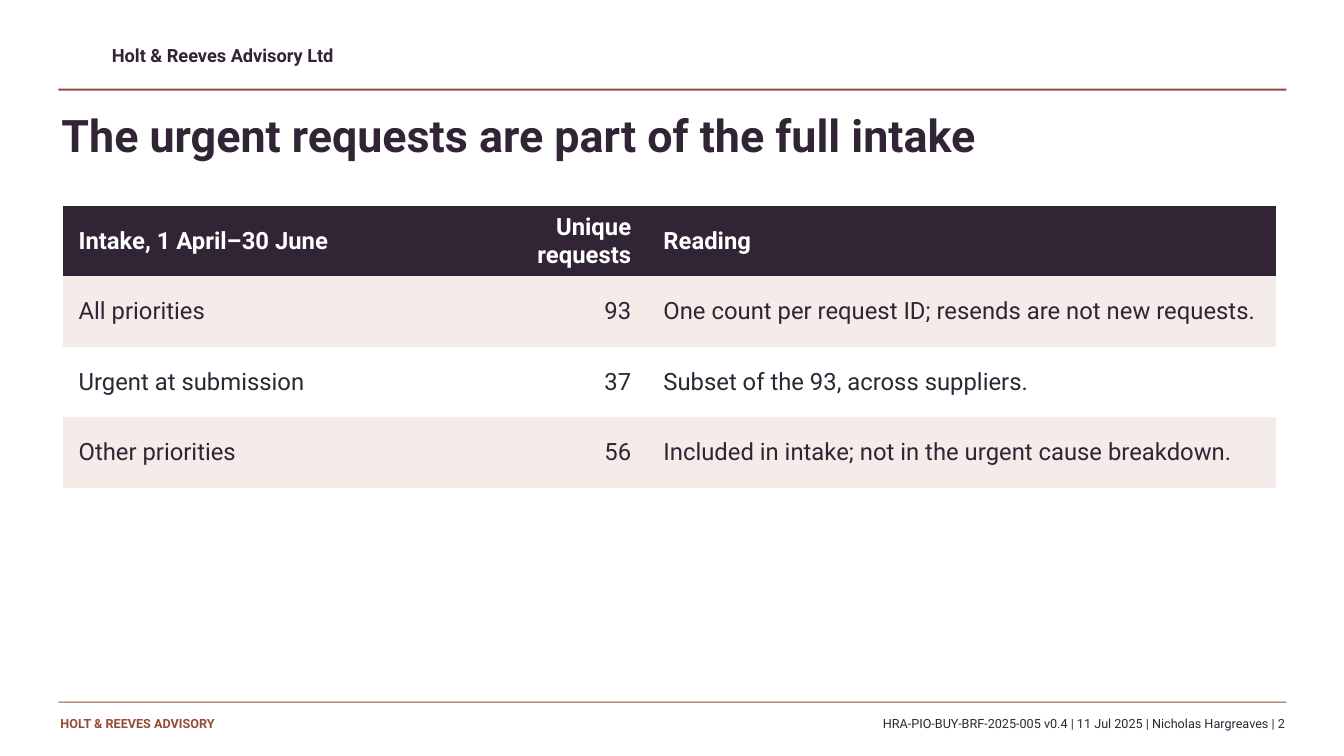
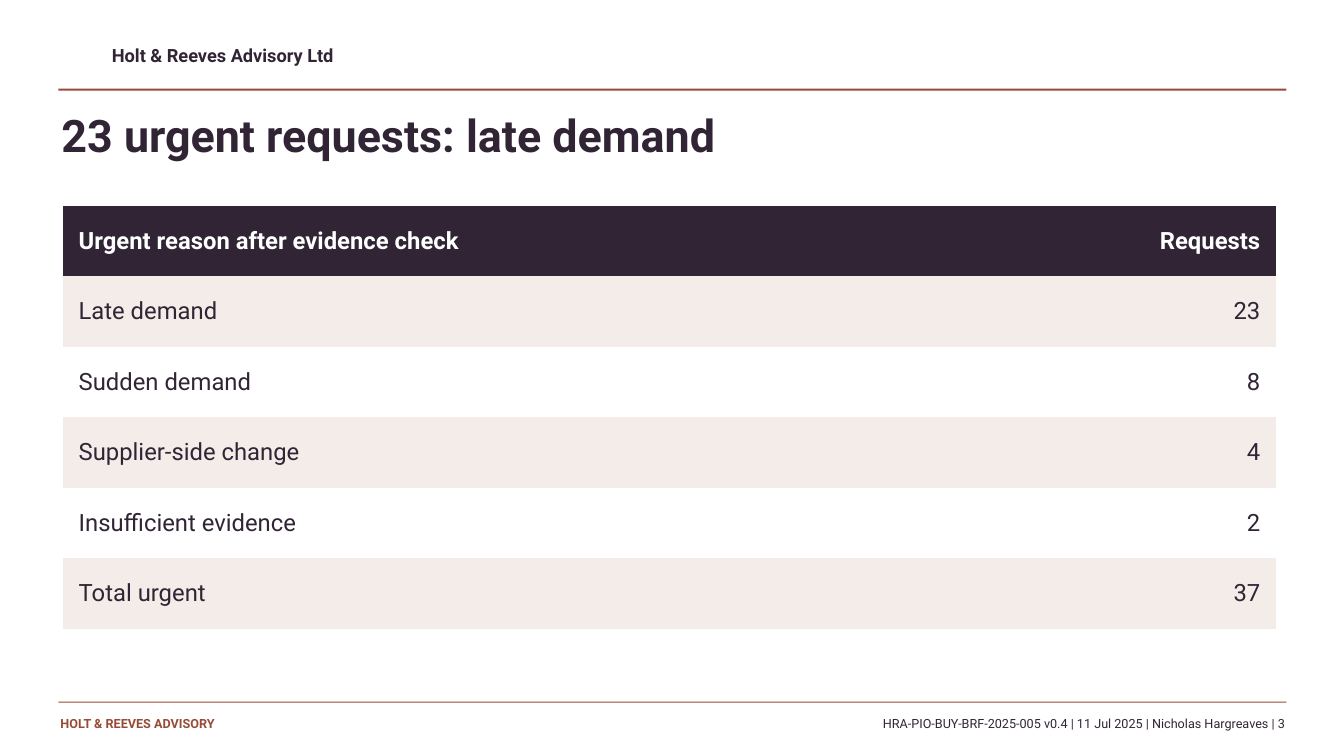
from pptx import Presentation
from pptx.dml.color import RGBColor
from pptx.enum import shapes, text
from pptx.oxml import ns
from pptx.util import Inches, Pt

FONT = "Roboto"
PLUM = "302435"
RUST = "964B37"
BLUSH = "F4ECE8"
WHITE = "FFFFFF"
NO_GRID_STYLE = "{2D5ABB26-0587-4C30-8999-92F81FD0307C}"
ROW_HEIGHT = 0.7
DOCUMENT = "HRA-PIO-BUY-BRF-2025-005 v0.4 | 11 Jul 2025 | Nicholas Hargreaves"
FIRST_PAGE_NUMBER = 2

LEFT = text.PP_ALIGN.LEFT
RIGHT = text.PP_ALIGN.RIGHT

TABLE_PAGES = [
    {
        "title": "The urgent requests are part of the full intake",
        "widths": [4.15, 1.65, 6.24],
        "rows": [
            ["Intake, 1 April–30 June", "Unique requests", "Reading"],
            ["All priorities", "93", "One count per request ID; resends are not new requests."],
            ["Urgent at submission", "37", "Subset of the 93, across suppliers."],
            ["Other priorities", "56", "Included in intake; not in the urgent cause breakdown."],
        ],
    },
    {
        "title": "23 urgent requests: late demand",
        "widths": [9.6, 2.44],
        "rows": [
            ["Urgent reason after evidence check", "Requests"],
            ["Late demand", "23"],
            ["Sudden demand", "8"],
            ["Supplier-side change", "4"],
            ["Insufficient evidence", "2"],
            ["Total urgent", "37"],
        ],
    },
]


def set_color(target, color):
    target.rgb = RGBColor.from_string(color)


def fill_solid(target, color):
    target.fill.solid()
    set_color(target.fill.fore_color, color)


def write(frame, wording, size, color, bold=False, align=LEFT):
    """Put one formatted paragraph in a text frame."""
    frame.text = wording
    para = frame.paragraphs[0]
    para.alignment = align
    para.font.name = FONT
    para.font.size = Pt(size)
    para.font.bold = bold
    set_color(para.font.color, color)


def set_margins(target, horizontal, vertical):
    target.margin_left = target.margin_right = Inches(horizontal)
    target.margin_top = target.margin_bottom = Inches(vertical)


def add_rule(page, top, thickness):
    """Add a thin filled bar across the content width."""
    place = (0.58, top, 12.18, thickness)
    rule = page.shapes.add_shape(shapes.MSO_SHAPE.RECTANGLE, *map(Inches, place))
    rule.shadow.inherit = False
    fill_solid(rule, RUST)
    rule.line.fill.background()
    return rule


def add_label(page, place, wording, size, color, bold=False, align=LEFT):
    box = page.shapes.add_textbox(*map(Inches, place))
    frame = box.text_frame
    frame.word_wrap = True
    set_margins(frame, 0, 0)
    write(frame, wording, size, color, bold, align)
    return box


def furnish_layout(layout, page):
    """Draw the shared header and footer on a page, then move them to its layout."""
    furniture = [
        add_label(page, (1.11, 0.44, 6, 0.27), "Holt & Reeves Advisory Ltd", 13, PLUM, True),
        add_rule(page, 0.88, 0.02),
        add_rule(page, 6.96, 0.01),
        add_label(page, (0.6, 7.1, 3.4, 0.25), "HOLT & REEVES ADVISORY", 9, RUST, True),
    ]
    for shape in furniture:
        layout.shapes.element.append(shape.element)


def set_title(page, wording):
    title = page.shapes.title
    title.left, title.top, title.width, title.height = map(Inches, (0.61, 1.07, 12, 0.78))
    frame = title.text_frame
    frame.auto_size = text.MSO_AUTO_SIZE.NONE
    frame.vertical_anchor = text.MSO_ANCHOR.TOP
    set_margins(frame, 0, 0)
    write(frame, wording, 32, PLUM, True)


def add_banded_table(page, widths, rows):
    """Add a table with a dark header, tinted odd rows and figures in column two."""
    place = (0.62, 2.04, sum(widths), ROW_HEIGHT * len(rows))
    holder = page.shapes.add_table(len(rows), len(widths), *map(Inches, place))
    holder.element.find(".//" + ns.qn("a:tableStyleId")).text = NO_GRID_STYLE
    table = holder.table
    for column, width in zip(table.columns, widths):
        column.width = Inches(width)
    for row_index, row in enumerate(rows):
        table.rows[row_index].height = Inches(ROW_HEIGHT)
        header = row_index == 0
        background = PLUM if header else BLUSH if row_index % 2 else WHITE
        for column_index, wording in enumerate(row):
            cell = table.cell(row_index, column_index)
            fill_solid(cell, background)
            set_margins(cell, 0.16, 0.05)
            cell.vertical_anchor = text.MSO_ANCHOR.MIDDLE
            align = RIGHT if column_index == 1 else LEFT
            write(cell.text_frame, wording, 17, WHITE if header else PLUM, header, align)


def main():
    deck = Presentation()
    deck.slide_width, deck.slide_height = Inches(13.33), Inches(7.5)
    layout = deck.slide_layouts.get_by_name("Title Only")
    for number, content in enumerate(TABLE_PAGES, FIRST_PAGE_NUMBER):
        page = deck.slides.add_slide(layout)
        if number == FIRST_PAGE_NUMBER:
            furnish_layout(layout, page)
        set_title(page, content["title"])
        add_banded_table(page, content["widths"], content["rows"])
        add_label(page, (4.12, 7.1, 8.62, 0.22), f"{DOCUMENT} | {number}", 9, PLUM, align=RIGHT)
    deck.save("out.pptx")


if __name__ == "__main__":
    main()
